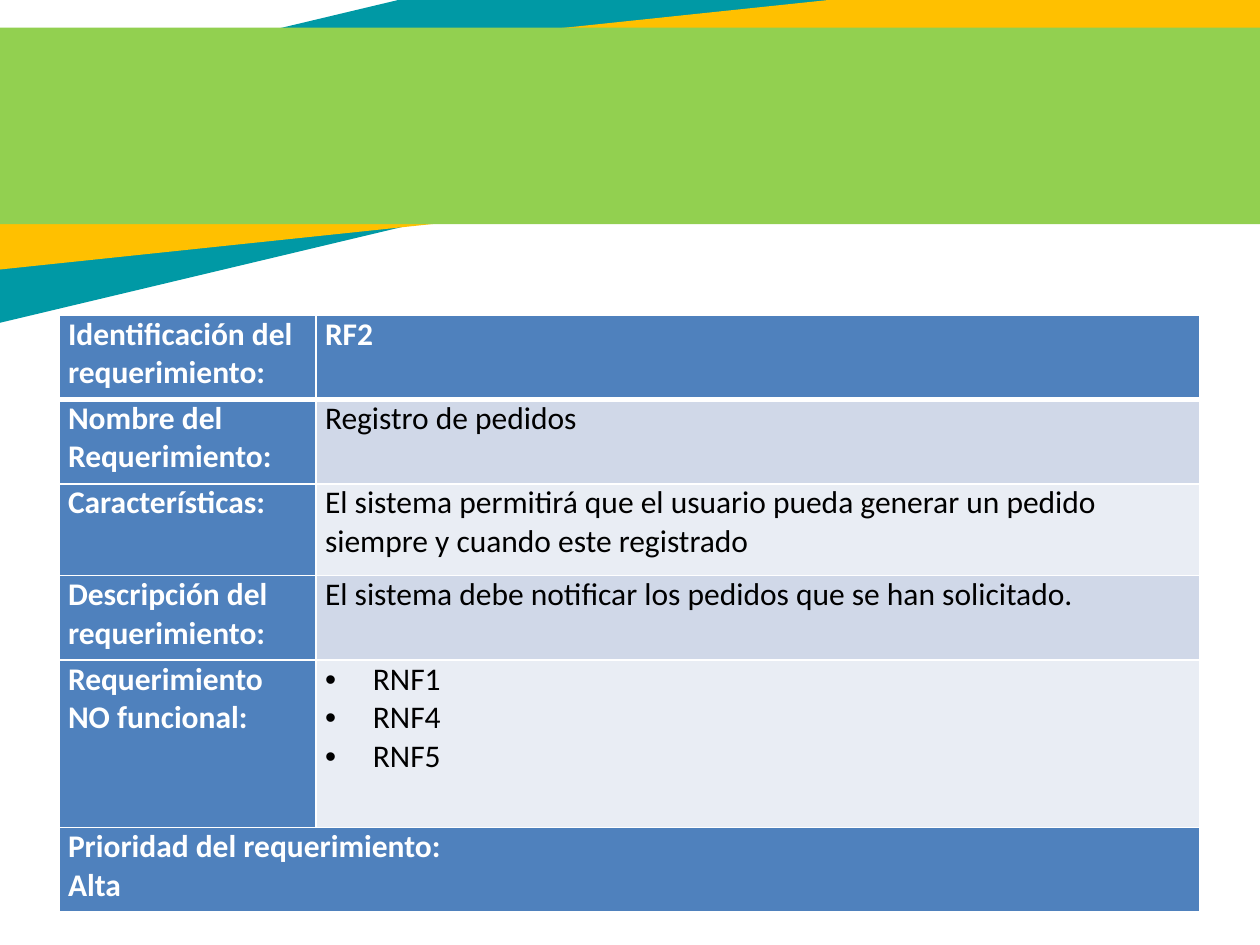
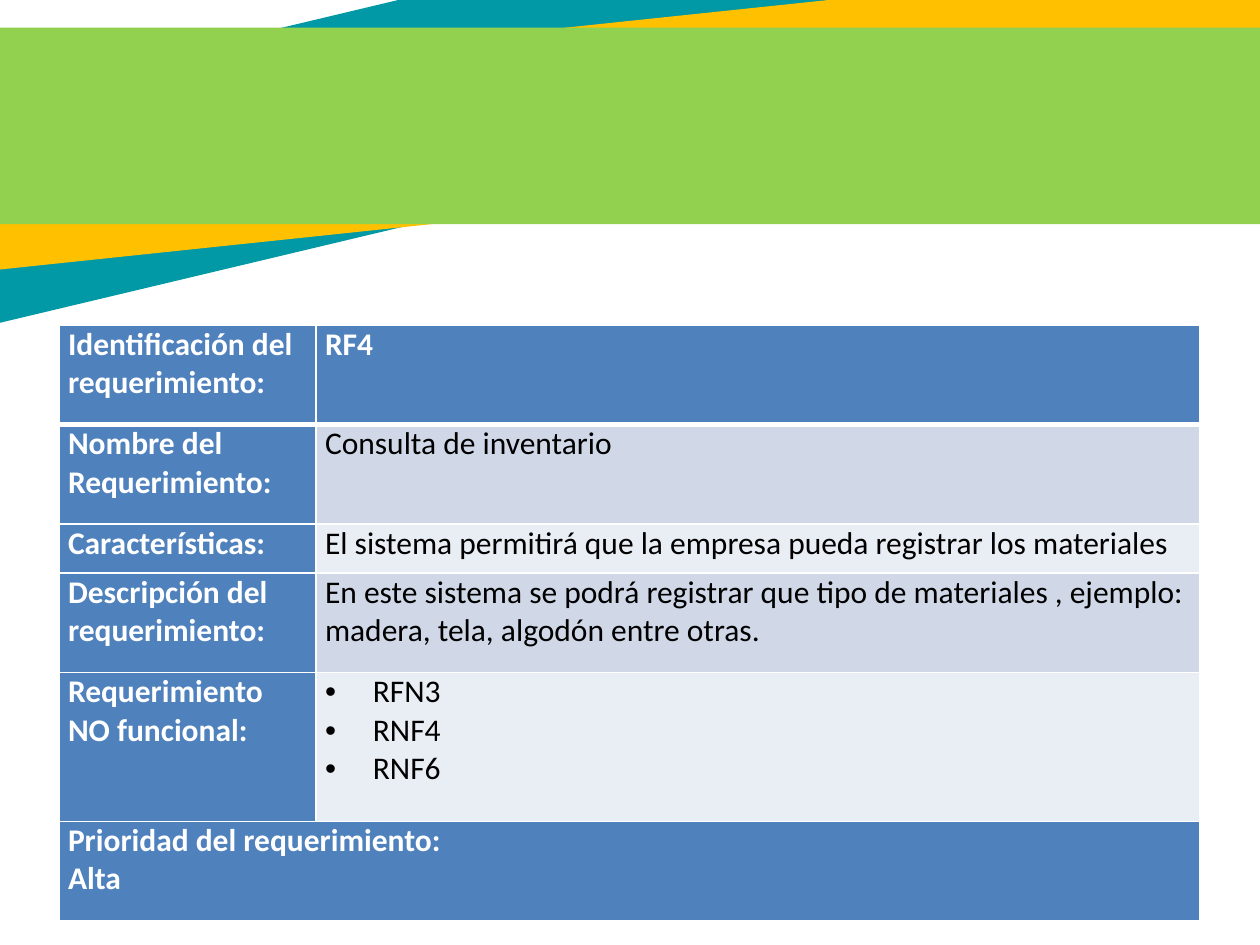
from lxml import etree
from pptx import Presentation
from pptx.dml.color import RGBColor
from pptx.enum import shapes, text
from pptx.oxml import ns
from pptx.util import Inches, Pt

WHITE, BLACK = "FFFFFF", "000000"
LABEL_FILL = "4F81BD"
VALUE_FILLS = ("D0D8E8", "E9EDF4")
BANDS = (
    ("0099A5", -2.51, -0.18, 13.06, 1.76, 346.6),
    ("FFC000", -1.1, 0.2, 11.63, 1.44, 354),
    ("92D050", -1.06, 0.22, 11.63, 1.56, 0),
)
LABELS = (
    "Identificación del requerimiento:",
    "Nombre del Requerimiento:",
    "Características:",
    "Descripción del requerimiento:",
    "Requerimiento NO funcional:",
)
PRIORITY = ("Prioridad del requerimiento:", "Alta")
COLUMN_WIDTHS = (2.04, 7.01)
REQUIREMENTS = (
    {
        "top": 2.5,
        "heights": (0.67, 0.67, 0.73, 0.67, 1.33, 0.67),
        "values": (
            "RF2",
            "Registro de pedidos",
            "El sistema permitirá que el usuario pueda generar un pedido "
            "siempre y cuando este registrado",
            "El sistema debe notificar los pedidos que se han solicitado.",
        ),
        "related": ("RNF1", "RNF4", "RNF5"),
        "justified_row": None,
    },
    {
        "top": 2.58,
        "heights": (0.79, 0.79, 0.39, 0.79, 1.18, 0.79),
        "values": (
            "RF4",
            "Consulta de inventario",
            "El sistema permitirá que la empresa pueda registrar los materiales",
            "En este sistema se podrá registrar que tipo de materiales , "
            "ejemplo: madera, tela, algodón entre otras.",
        ),
        "related": ("RFN3", "RNF4", "RNF6"),
        "justified_row": 2,
    },
)


def color(value):
    return RGBColor.from_string(value)


def add_bands(page):
    for fill, left, top, width, height, rotation in BANDS:
        band = page.shapes.add_shape(
            shapes.MSO_SHAPE.RECTANGLE,
            Inches(left), Inches(top), Inches(width), Inches(height),
        )
        band.rotation = rotation
        band.shadow.inherit = False
        band.fill.solid()
        band.fill.fore_color.rgb = color(fill)
        band.line.fill.background()


def add_bullet(para):
    properties = para._p.get_or_add_pPr()
    properties.set("marL", str(Inches(0.38)))
    properties.set("indent", str(-Inches(0.38)))
    etree.SubElement(properties, ns.qn("a:buFont"), typeface="Arial")
    etree.SubElement(properties, ns.qn("a:buChar"), char="•")


def set_borders(cell, top=1, bottom=1):
    properties = cell._tc.get_or_add_tcPr()
    widths = {"lnL": 1, "lnR": 1, "lnT": top, "lnB": bottom}
    for position, (side, width) in enumerate(widths.items()):
        line = etree.Element(ns.qn("a:" + side), w=str(Pt(width)))
        fill = etree.SubElement(line, ns.qn("a:solidFill"))
        etree.SubElement(fill, ns.qn("a:srgbClr"), val=WHITE)
        properties.insert(position, line)


def fill_cell(cell, lines, fill, strong=True, bulleted=False):
    cell.margin_left = cell.margin_right = Inches(0.07)
    cell.margin_top = cell.margin_bottom = 0
    cell.fill.solid()
    cell.fill.fore_color.rgb = color(fill)
    cell.text = "\n".join(lines)
    for para in cell.text_frame.paragraphs:
        if bulleted:
            add_bullet(para)
        para.font.name = "Calibri"
        para.font.size = Pt(18)
        para.font.bold = strong
        para.font.color.rgb = color(WHITE if strong else BLACK)


def add_requirement_table(page, requirement):
    heights = requirement["heights"]
    table = page.shapes.add_table(
        len(heights), len(COLUMN_WIDTHS), Inches(0.47), Inches(requirement["top"]),
        Inches(sum(COLUMN_WIDTHS)), Inches(sum(heights)),
    ).table
    table.horz_banding = False
    for column, width in zip(table.columns, COLUMN_WIDTHS):
        column.width = Inches(width)
    for row, height in zip(table.rows, heights):
        row.height = Inches(height)

    contents = [(value,) for value in requirement["values"]] + [requirement["related"]]
    for index, (label, lines) in enumerate(zip(LABELS, contents)):
        header = index == 0
        fill_cell(table.cell(index, 0), (label,), LABEL_FILL)
        fill_cell(
            table.cell(index, 1), lines,
            LABEL_FILL if header else VALUE_FILLS[(index - 1) % 2],
            strong=header, bulleted=len(lines) > 1,
        )
    if requirement["justified_row"] is not None:
        para = table.cell(requirement["justified_row"], 1).text_frame.paragraphs[0]
        para.alignment = text.PP_ALIGN.JUSTIFY

    last = len(heights) - 1
    table.cell(last, 0).merge(table.cell(last, 1))
    fill_cell(table.cell(last, 0), PRIORITY, LABEL_FILL)
    for index, row in enumerate(table.rows):
        for cell in row.cells:
            set_borders(cell, top=3 if index == 1 else 1, bottom=3 if index == 0 else 1)


def main():
    deck = Presentation()
    deck.slide_width, deck.slide_height = Inches(10), Inches(7.5)
    for requirement in REQUIREMENTS:
        page = deck.slides.add_slide(deck.slide_layouts[6])
        add_bands(page)
        add_requirement_table(page, requirement)
    deck.save("out.pptx")


if __name__ == "__main__":
    main()
